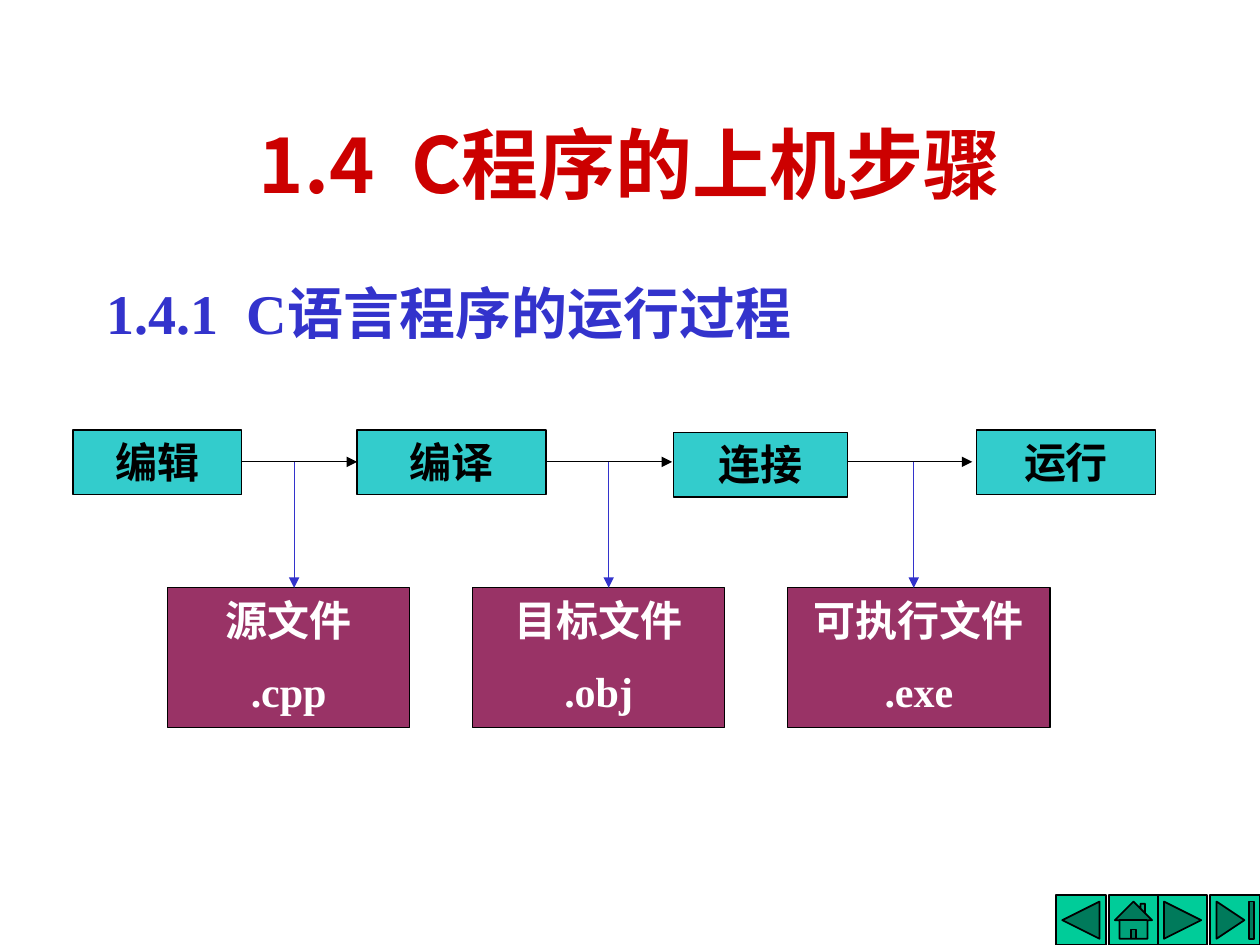
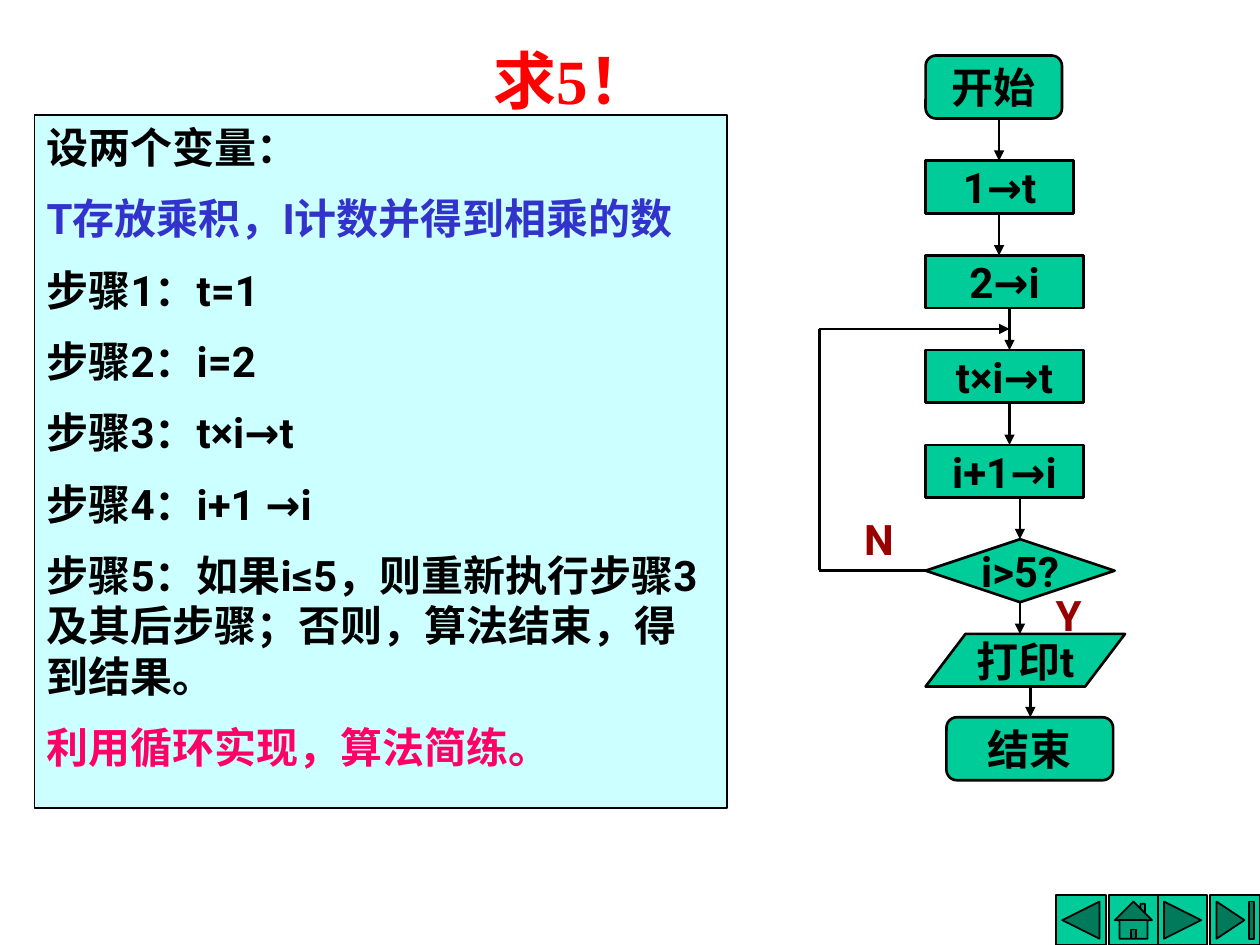
from dataclasses import dataclass

from lxml import etree
from pptx import Presentation, util as u
from pptx.dml.color import RGBColor
from pptx.enum import shapes, text
from pptx.oxml.ns import qn

SHAPE = shapes.MSO_SHAPE
LEFT, CENTER = text.PP_ALIGN.LEFT, text.PP_ALIGN.CENTER
TOP, MIDDLE = text.MSO_ANCHOR.TOP, text.MSO_ANCHOR.MIDDLE


@dataclass(frozen=True)
class Theme:
    black: str = "000000"
    white: str = "FFFFFF"
    green: str = "00CC99"
    teal: str = "33CCCC"
    plum: str = "993366"
    pale: str = "CCFFFF"
    blue: str = "3333CC"
    crimson: str = "CC0000"
    red: str = "FF0000"
    maroon: str = "990000"
    pink: str = "FF0066"
    serif: str = "Times New Roman"
    sans: str = "Roboto"
    cjk: str = "Noto Sans CJK JP"
    title: int = 44
    subtitle: int = 36
    heading: int = 32
    body: int = 24
    para_gap: int = 12
    thin: float = 0.75
    button: float = 1
    thick: float = 1.5


class Deck:
    def __init__(self, theme):
        self.t = theme
        self.prs = Presentation()
        self.prs.slide_width, self.prs.slide_height = u.Cm(25.4), u.Cm(19.05)
        self.s = None

    def slide(self):
        self.s = self.prs.slides.add_slide(self.prs.slide_layouts[6])
        buttons = (
            (21.29, SHAPE.ACTION_BUTTON_BACK_OR_PREVIOUS),
            (22.35, SHAPE.ACTION_BUTTON_HOME),
            (23.34, SHAPE.ACTION_BUTTON_FORWARD_OR_NEXT),
            (24.4, SHAPE.ACTION_BUTTON_END),
        )
        for left, kind in buttons:
            self.shape(kind, (left, 18.05, 1, 1), self.t.green, self.t.button)

    def run(self, p, words, font, size, color):
        r = p.add_run()
        r.text = words
        r.font.size, r.font.bold, r.font.name = u.Pt(size), True, font
        r.font.color.rgb = RGBColor.from_string(color)
        etree.SubElement(r.font._element, qn("a:ea")).set("typeface", self.t.cjk)
        return r

    def paragraphs(self, sp, lines, font, size, align=LEFT, anchor=TOP, wrap=True):
        tf = sp.text_frame
        tf.word_wrap, tf.vertical_anchor = wrap, anchor
        for i, (words, color) in enumerate(lines):
            p = tf.add_paragraph() if i else tf.paragraphs[0]
            p.alignment = align
            if i:
                p.space_before = u.Pt(self.t.para_gap)
            self.run(p, words, font, size, color)

    def text(self, box, words, font, size, color, **layout):
        sp = self.s.shapes.add_textbox(*map(u.Cm, box))
        self.paragraphs(sp, [(words, color)], font, size, **layout)
        return sp

    def numbered(self, box, number, words, font, size, color, **layout):
        sp = self.text(box, number, font, size, color, **layout)
        p = sp.text_frame.paragraphs[0]
        gap = self.run(p, " ", font, size, color)
        gap.font._element.set("spc", str(size * 25))
        self.run(p, words, font, size, color)

    def shape(self, kind, box, fill, width):
        sp = self.s.shapes.add_shape(kind, *map(u.Cm, box))
        sp.shadow.inherit = False
        sp.fill.solid()
        sp.fill.fore_color.rgb = RGBColor.from_string(fill)
        sp.line.color.rgb = RGBColor.from_string(self.t.black)
        sp.line.width = u.Pt(width)
        return sp

    def line(self, start, end, color, width, arrow=True):
        c = self.s.shapes.add_connector(
            shapes.MSO_CONNECTOR.STRAIGHT, *map(u.Cm, (*start, *end)))
        c.line.color.rgb = RGBColor.from_string(color)
        c.line.width = u.Pt(width)
        props = c.element.spPr
        if arrow:
            etree.SubElement(props.find(qn("a:ln")), qn("a:tailEnd")).set("type", "triangle")
        etree.SubElement(props, qn("a:effectLst"))


def run_process(d):
    t = d.t
    d.slide()
    d.numbered((1.9, 1.7, 21.6, 3.18), "1.4", "C程序的上机步骤",
               t.cjk, t.title, t.crimson, align=CENTER, anchor=MIDDLE)
    d.numbered((1.9, 5.5, 21.6, 11.43), "1.4.1", "C语言程序的运行过程",
               t.serif, t.heading, t.blue)

    stages = (
        ("编辑", 1.47, 8.67, 3.4),
        ("编译", 7.2, 8.67, 3.81),
        ("连接", 13.58, 8.72, 3.51),
        ("运行", 19.69, 8.67, 3.6),
    )
    for name, left, top, width in stages:
        sp = d.shape(SHAPE.RECTANGLE, (left, top, width, 1.3), t.teal, t.thin)
        d.paragraphs(sp, [(name, t.black)], t.serif, t.body, align=CENTER)

    flow_y, files_y = 9.31, 11.85
    for start, end in ((4.87, 7.2), (11, 13.55), (17.07, 19.6)):
        d.line((start, flow_y), (end, flow_y), t.black, t.thin)

    files = (
        ("源文件", ".cpp", 3.38, 4.88, 5.93),
        ("目标文件", ".obj", 9.53, 5.08, 12.27),
        ("可执行文件", ".exe", 15.88, 5.29, 18.42),
    )
    for name, suffix, left, width, branch_x in files:
        sp = d.shape(SHAPE.RECTANGLE, (left, files_y, width, 2.82), t.plum, t.thin)
        d.paragraphs(sp, [(name, t.white), (suffix, t.white)],
                     t.serif, t.body, align=CENTER)
        d.line((branch_x, flow_y), (branch_x, files_y), t.blue, t.thin)


def factorial(d):
    t = d.t
    d.slide()
    d.text((9.7, 0, 9.63, 3.18), "求5！", t.serif, t.subtitle, t.red, anchor=MIDDLE)

    left, step_top, pitch, step_h = 18.66, 3.24, 1.91, 1.06
    steps = [
        (SHAPE.FLOWCHART_PROCESS, left, step_top + i * pitch, width, step_h, words)
        for i, (words, width) in enumerate(
            (("1→t", 2.98), ("2→i", 3.18), ("t×i→t", 3.18), ("i+1→i", 3.18)))
    ]
    rounded = SHAPE.FLOWCHART_ALTERNATE_PROCESS
    nodes = [
        (rounded, left, 1.12, 2.75, 1.27, "开始"),
        *steps,
        (SHAPE.FLOWCHART_DECISION, left, 10.87, 3.81, 1.27, "i>5?"),
        (SHAPE.FLOWCHART_DATA, left, 12.78, 4.02, step_h, "打印t"),
        (rounded, 19.08, 14.46, 3.36, 1.27, "结束"),
    ]
    for kind, *box, words in nodes:
        sp = d.shape(kind, box, t.green, t.thick)
        d.paragraphs(sp, [(words, t.black)], t.sans, t.body,
                     align=CENTER, anchor=MIDDLE, wrap=False)

    for i, (upper, lower) in enumerate(zip(nodes, nodes[1:])):
        x = 20.14 + i // 2 * 0.21
        d.line((x, upper[2] + upper[4]), (x, lower[2]), t.black, t.thick)

    loop_x, loop_top, loop_bottom = 16.52, 6.63, 11.5
    d.line((loop_x, loop_top), (20.35, loop_top), t.black, t.thick)
    d.line((left, loop_bottom), (loop_x, loop_bottom), t.black, t.thick, arrow=False)
    d.line((loop_x, loop_bottom), (loop_x, loop_top), t.black, t.thick, arrow=False)
    for answer, x, y in (("Y", 21.03, 11.76), ("N", 17.17, 10.23)):
        d.text((x, y, 1.07, 1.27), answer, t.sans, t.body, t.maroon)

    algorithm = (
        ("设两个变量：", t.black),
        ("T存放乘积，I计数并得到相乘的数", t.blue),
        ("步骤1：t=1", t.black),
        ("步骤2：i=2", t.black),
        ("步骤3：t×i→t", t.black),
        ("步骤4：i+1 →i", t.black),
        ("步骤5：如果i≤5，则重新执行步骤3及其后步骤；否则，算法结束，得到结果。", t.black),
        ("利用循环实现，算法简练。", t.pink),
    )
    sp = d.shape(SHAPE.RECTANGLE, (0.69, 2.32, 13.97, 13.97), t.pale, t.thin)
    d.paragraphs(sp, algorithm, t.sans, t.body)


def main():
    d = Deck(Theme())
    run_process(d)
    factorial(d)
    d.prs.save("out.pptx")


if __name__ == "__main__":
    main()
